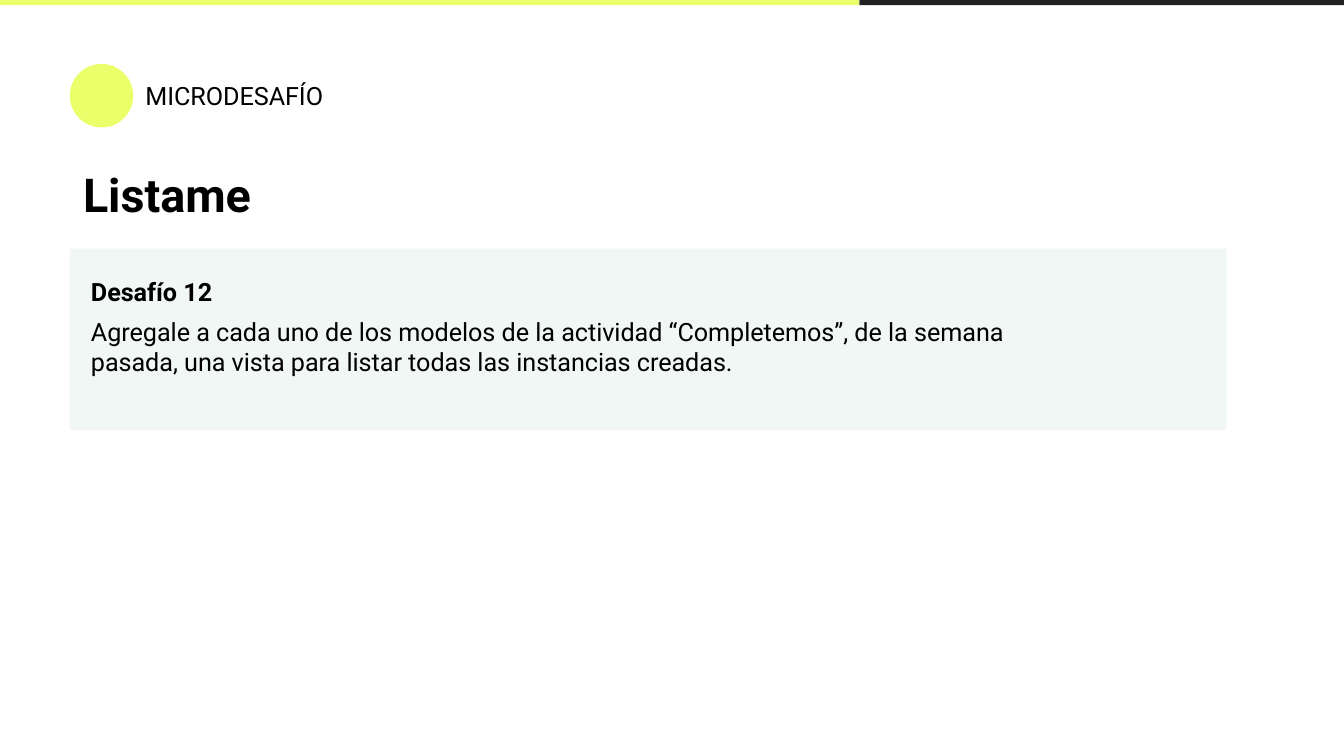
from pptx import Presentation
from pptx.dml.color import RGBColor
from pptx.enum.shapes import MSO_SHAPE
from pptx.util import Cm, Pt

COLORS = {"lime": "EAFF6A", "dark": "212121", "panel": "F0F7F5", "text": "000000"}
SLIDE_W, SLIDE_H = 25.4, 14.29
LEFT = 1.32
BAR_H = 0.13
BAR_TOP = -0.03
LIME_W = 16.24


def add_run(p, text, size=13.5, bold=False, font="Roboto", color="text"):
    r = p.add_run()
    r.text = text
    r.font.name = font
    r.font.size = Pt(size)
    r.font.bold = bold
    r.font.color.rgb = RGBColor.from_string(COLORS[color])


class SlideBuilder:
    """Holds the slide being built and its text inset."""

    inset = Cm(0.25)

    def __init__(self, slide):
        self.s = slide

    def shape(self, kind, x, y, w, h, color):
        sp = self.s.shapes.add_shape(kind, Cm(x), Cm(y), Cm(w), Cm(h))
        sp.shadow.inherit = False
        sp.fill.solid()
        sp.fill.fore_color.rgb = RGBColor.from_string(COLORS[color])
        sp.line.fill.background()

    def text(self, x, y, w, h, paragraphs, line_spacing=None, space_after=0):
        """Each paragraph is a (text, run format) pair."""
        tf = self.s.shapes.add_textbox(Cm(x), Cm(y), Cm(w), Cm(h)).text_frame
        tf.word_wrap = True
        tf.margin_left = tf.margin_right = self.inset
        tf.margin_top = tf.margin_bottom = self.inset
        for i, (text, style) in enumerate(paragraphs):
            p = tf.add_paragraph() if i else tf.paragraphs[0]
            p.line_spacing = line_spacing
            p.space_after = Pt(space_after)
            add_run(p, text, **style)


def main():
    prs = Presentation()
    prs.slide_width, prs.slide_height = Cm(SLIDE_W), Cm(SLIDE_H)
    b = SlideBuilder(prs.slides.add_slide(prs.slide_layouts[6]))

    b.shape(MSO_SHAPE.RECTANGLE, LEFT, 4.7, 21.86, 3.43, "panel")
    b.text(1.47, 4.98, 19.38, 2.41, [
        ("Desafío 12", {"bold": True}),
        ("Agregale a cada uno de los modelos de la actividad “Completemos”, "
         "de la semana pasada, una vista para listar todas las instancias creadas.", {}),
    ], space_after=5)

    b.text(2.5, 1.27, 8.33, 1.09, [("MICRODESAFÍO", {})])
    b.shape(MSO_SHAPE.RECTANGLE, LIME_W, BAR_TOP, SLIDE_W - LIME_W, BAR_H, "dark")
    b.shape(MSO_SHAPE.RECTANGLE, 0, BAR_TOP, LIME_W, BAR_H, "lime")
    b.shape(MSO_SHAPE.OVAL, LEFT, 1.21, 1.2, 1.2, "lime")
    b.text(LEFT, 3, 14.55, 1.47, [("Listame", {"size": 25, "bold": True})], line_spacing=0.9)

    prs.save("out.pptx")


if __name__ == "__main__":
    main()
